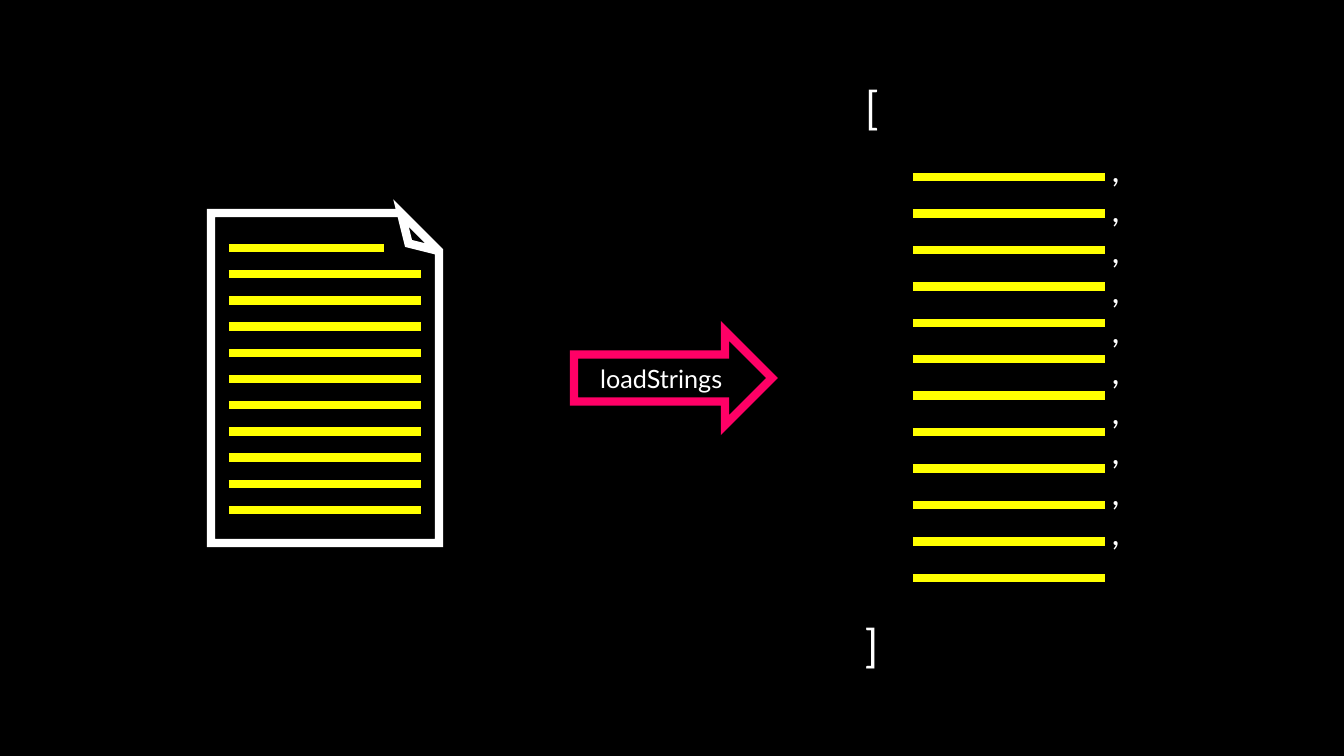
"""Build a slide showing loadStrings turning a text file into an array of lines."""
from lxml import etree
from pptx import Presentation
from pptx import util as u
from pptx.dml.color import RGBColor
from pptx.enum import shapes, text
from pptx.oxml.ns import qn

COLOURS = {"back": "000000", "white": "FFFFFF", "pink": "FF0066", "yellow": "FFFF00"}
STROKE = u.Pt(6)
LINE_WIDTH = 192


def px(length):
    """Turn a length in px into EMU."""
    return round(length * u.Inches(1) / 100.8)


def colour(name):
    """Return a named colour of the slide."""
    return RGBColor.from_string(COLOURS[name])


def apply_format(target, values):
    """Set each attribute in a dict of format values."""
    for name, value in values.items():
        setattr(target, name, value)


def style_paragraphs(frame, size):
    """Give all text in a frame the slide's font and colour."""
    for para in frame.paragraphs:
        for span in para.runs:
            apply_format(span.font, {"name": "Lato", "size": u.Pt(size)})
            span.font.color.rgb = colour("white")


def add_outline(page, kind, bounds, line_colour):
    """Add an unfilled preset shape with a thick mitred outline."""
    shape = page.shapes.add_shape(kind, *map(px, bounds))
    shape.shadow.inherit = False
    shape.fill.background()
    shape.line.color.rgb = colour(line_colour)
    shape.line.width = STROKE
    line_xml = shape.line._get_or_add_ln()
    etree.SubElement(line_xml, qn("a:miter"), lim="800000")
    return shape


def add_label(shape, label, size):
    """Write a centred label inside a shape."""
    frame = shape.text_frame
    frame.text = label
    frame.vertical_anchor = text.MSO_ANCHOR.MIDDLE
    frame.paragraphs[0].alignment = text.PP_ALIGN.CENTER
    style_paragraphs(frame, size)


def add_text_column(page, bounds, rows, size, gap=0):
    """Add an unwrapped column of text rows with a gap in points between them."""
    frame = page.shapes.add_textbox(*map(px, bounds)).text_frame
    frame.text = "\n".join(rows)
    apply_format(frame, {"word_wrap": False,
                         "auto_size": text.MSO_AUTO_SIZE.SHAPE_TO_FIT_TEXT})
    style_paragraphs(frame, size)
    for para in frame.paragraphs[1:]:
        para.space_before = u.Pt(gap)


def add_text_line(page, left, top, width):
    """Add a yellow stroke that stands for a line of text."""
    stroke = page.shapes.add_connector(
        shapes.MSO_CONNECTOR.STRAIGHT, px(left), px(top), px(left + width), px(top))
    stroke.line.color.rgb = colour("yellow")
    stroke.line.width = STROKE
    etree.SubElement(stroke._element.spPr, qn("a:effectLst"))


def add_text_lines(page, left, first, last, count, first_width=LINE_WIDTH):
    """Add evenly spaced text lines from the first to the last height."""
    pitch = (last - first) / (count - 1)
    for row in range(count):
        width = LINE_WIDTH if row else first_width
        add_text_line(page, left, first + row * pitch, width)


def main():
    """Build and save the deck."""
    deck = Presentation()
    apply_format(deck, {"slide_width": px(1344), "slide_height": px(756)})
    page = deck.slides.add_slide(deck.slide_layouts[6])
    page.background.fill.solid()
    page.background.fill.fore_color.rgb = colour("back")

    document = add_outline(page, shapes.MSO_SHAPE.FOLDED_CORNER,
                           (160, 264, 330, 228), "white")
    document.rotation = 270
    arrow = add_outline(page, shapes.MSO_SHAPE.RIGHT_ARROW,
                        (574, 331, 198, 94), "pink")
    add_label(arrow, "loadStrings", 18)

    add_text_column(page, (855, 75, 34, 607), "[]", 32, gap=345.6)
    add_text_lines(page, 229, 248, 510, 11, first_width=155)
    add_text_lines(page, 913, 177, 578, 12)
    add_text_column(page, (1102, 144, 29, 417), "," * 10, 24)
    deck.save("out.pptx")


if __name__ == "__main__":
    main()
